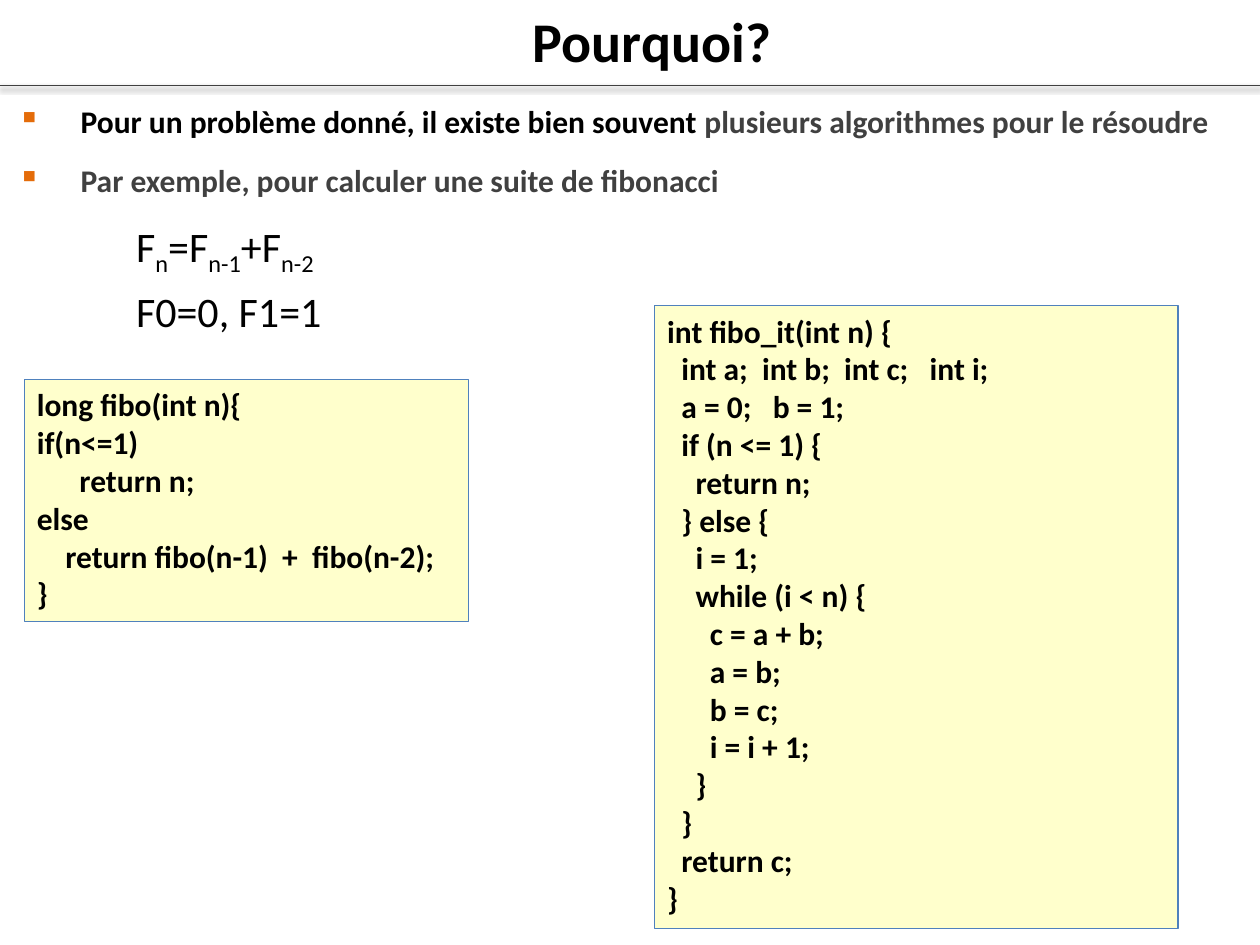
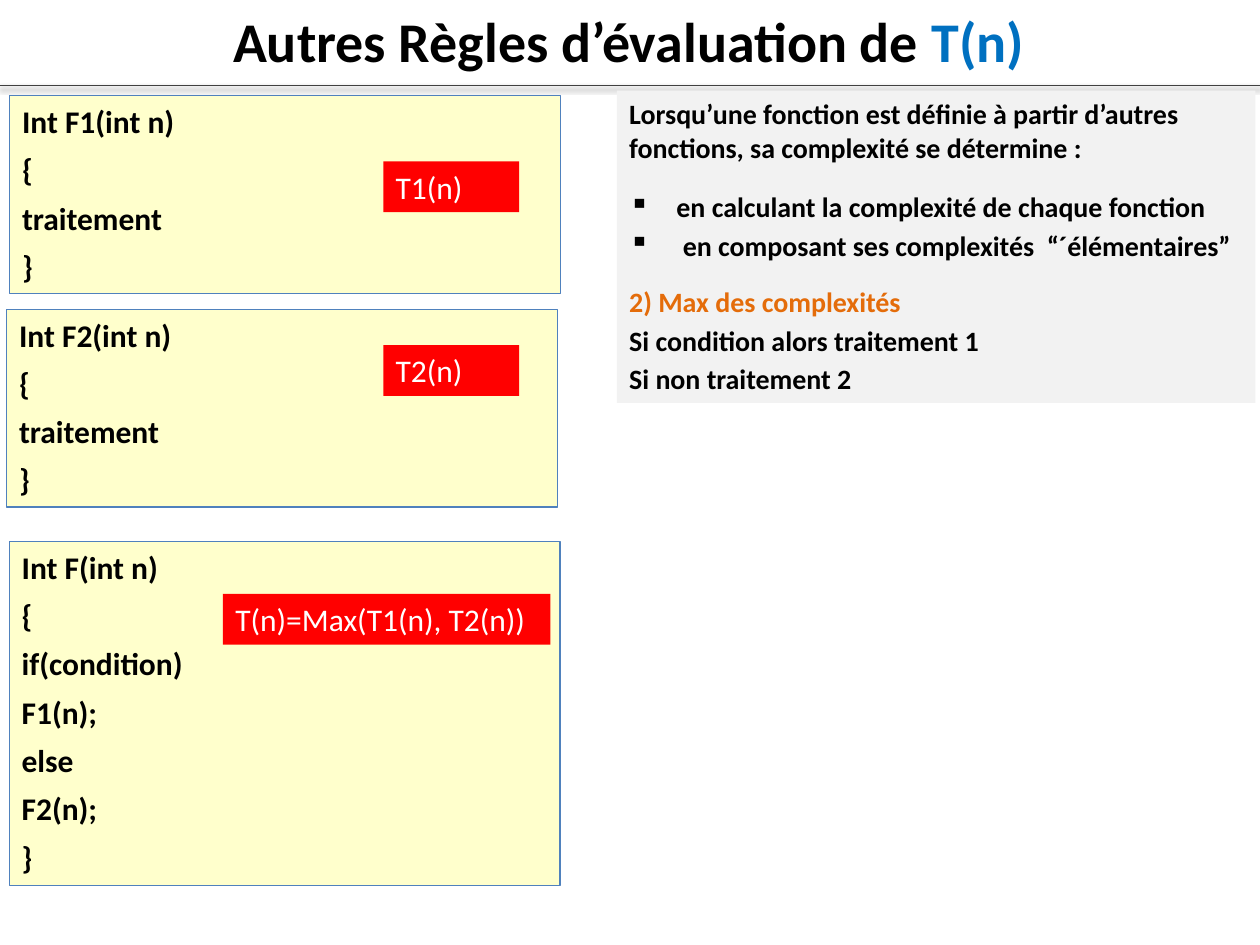
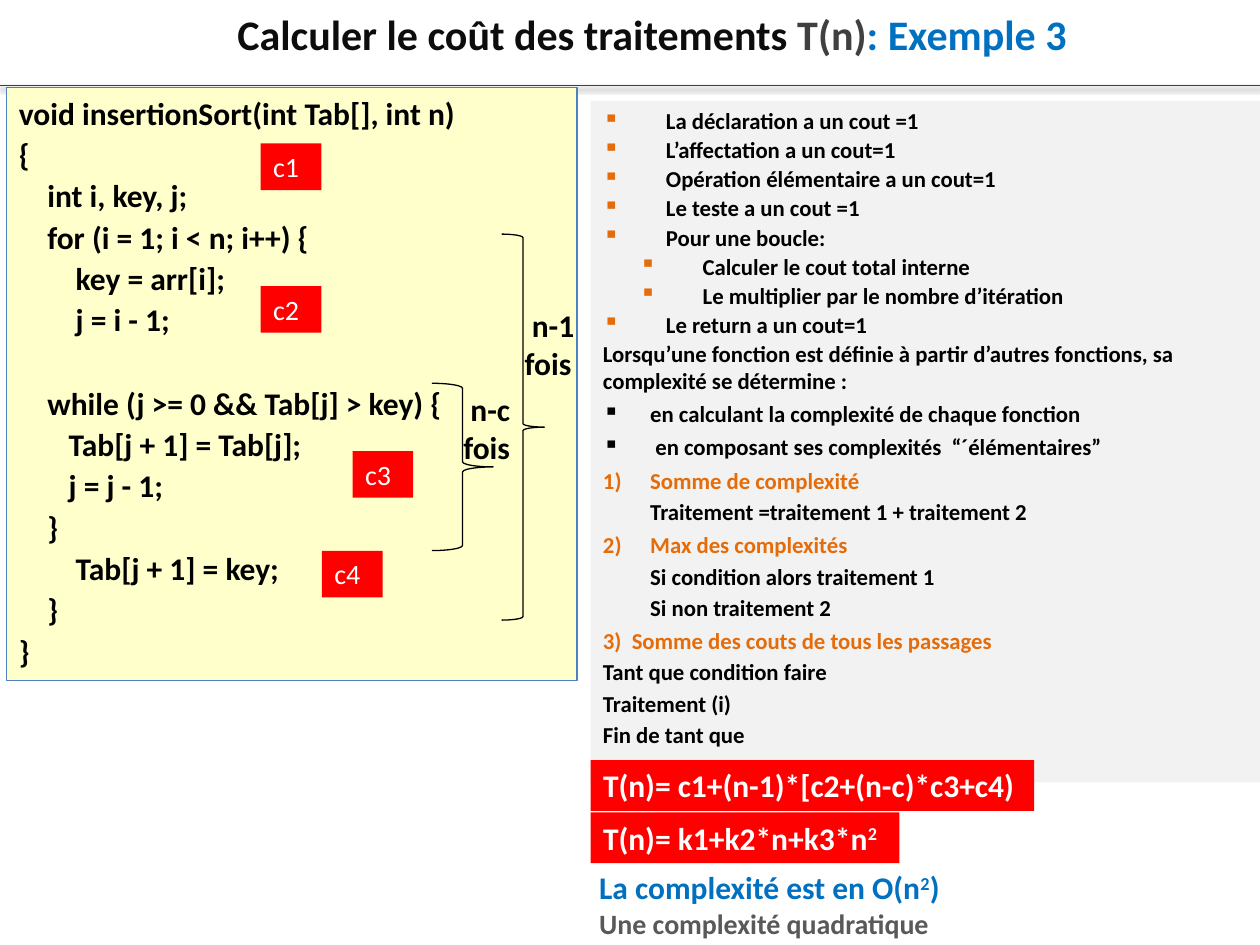
from lxml import etree
from pptx import Presentation
from pptx.dml.color import RGBColor
from pptx.enum import shapes, text
from pptx.oxml import ns
from pptx.util import Pt

BLACK = RGBColor(0, 0, 0)
INK = RGBColor(0x0D, 0x0D, 0x0D)
DARK = RGBColor(0x40, 0x40, 0x40)
GREY = RGBColor(0x59, 0x59, 0x59)
PALE = RGBColor(0xF2, 0xF2, 0xF2)
WHITE = RGBColor(255, 255, 255)
BLUE = RGBColor(0, 0x70, 0xC0)
EDGE = RGBColor(0x4F, 0x81, 0xBD)
CREAM = RGBColor(0xFF, 0xFF, 0xCC)
RED = RGBColor(255, 0, 0)
RUST = RGBColor(0xE4, 0x6C, 0x0A)

FONT = "Calibri"
WIDE, HIGH = 720, 540
RULE = 49

KINDS = {
    "code": dict(fill=CREAM, edge=EDGE, color=BLACK, bold=True),
    "panel": dict(fill=PALE, edge=None, color=BLACK, bold=True),
    "tag": dict(fill=RED, edge=None, color=WHITE, bold=False),
    "total": dict(fill=RED, edge=None, color=WHITE, bold=True),
    "note": dict(fill=None, edge=None, color=BLACK, bold=True),
    "plain": dict(fill=None, edge=None, color=BLACK, bold=False),
}

SUB = dict(base=-25000)
SUP = dict(base=30000)
MID = dict(align=text.PP_ALIGN.CENTER)
LEAD = dict(indent=(36, -36), after=12, mark="▪", tint=RUST)
COST = dict(LEAD, after=1)
DEEP = dict(COST, indent=(57, -36), level=1)
ITEM = dict(indent=(27, -27), space=1.15, mark="▪")
STEP = dict(ITEM, after=1)
LOOSE = dict(space=1.15)

WHOLE = "Lorsqu’une fonction est définie à partir d’autres fonctions, sa complexité se détermine :"
EACH = "en calculant la complexité de chaque fonction"
JOIN = " en composant ses complexités  “´élémentaires”"
CASES = "Si condition alors traitement 1\nSi non traitement 2"


def lines(code, **style):
    return [([row], style) for row in code.split("\n")]


def stub(name):
    return lines(f"Int {name}(int n)\n{{\ntraitement\n}}", after=6)


RECUR = """long fibo(int n){
if(n<=1)
      return n;
else
    return fibo(n-1)  +  fibo(n-2);
}"""

ITER = """int fibo_it(int n) {
  int a;  int b;  int c;   int i;
  a = 0;   b = 1;
  if (n <= 1) {
    return n;
  } else {
    i = 1;
    while (i < n) {
      c = a + b;
      a = b;
      b = c;
      i = i + 1;
    }
  }
  return c;
}"""

BRANCH = """Int F(int n)
{
if(condition)
F1(n);
else
F2(n);
}"""

SORT_TOP = """void insertionSort(int Tab[], int n)
{
    int i, key, j;
    for (i = 1; i < n; i++) {
        key = arr[i];
        j = i - 1;"""
SORT_LOOP = "    while (j >= 0 && Tab[j] > key) {"
SORT_END = """       Tab[j + 1] = Tab[j];
       j = j - 1;
    }
        Tab[j + 1] = key;
    }
}"""

COSTS = [
    (["La déclaration a un cout =1"], COST),
    (["L’affectation a un cout=1"], COST),
    (["Opération élémentaire a un cout=1"], COST),
    (["Le teste a un cout =1"], COST),
    (["Pour une boucle:"], COST),
    (["Calculer le cout total interne"], DEEP),
    (["Le multiplier par le nombre d’itération"], DEEP),
    (["Le return a un cout=1"], COST),
    ([WHOLE], dict(after=1)),
    ([EACH], STEP),
    ([JOIN], STEP),
    ([("Somme de complexité\n", dict(color=RUST)),
      "Traitement =traitement 1 + traitement 2"], dict(STEP, mark=1, tint=RUST)),
    ([("Max des complexités\n", dict(color=RUST)), CASES],
     dict(STEP, mark=2, tint=RUST)),
    ([("3)  Somme des couts de tous les passages\n", dict(color=RUST)),
      "Tant que condition faire\nTraitement (i)\nFin de tant que"],
     dict(LOOSE, after=1)),
]

TAGS = [("c1", 149, 82), ("c2", 149, 163.5), ("c3", 201.5, 257.75), ("c4", 184, 314.75)]

SLIDES = [
    dict(
        title=((25.2, 0, 694.8, 46), 32, ["Pourquoi?"]),
        boxes=[
            ("note", (3, 54.7, 712, 63.4), 18, [
                (["Pour un problème donné, il existe bien souvent ",
                  ("plusieurs algorithmes pour le résoudre", dict(color=DARK))], LEAD),
                ([("Par exemple, pour calculer une suite de fibonacci",
                   dict(color=DARK))], LEAD)]),
            ("code", (14, 216.7, 253.7, 138.3), 18, lines(RECUR)),
            ("code", (374.2, 174.5, 299, 356), 18, lines(ITER)),
            ("plain", (70.7, 117.4, 175.7, 72), 24, [
                (["F", ("n", SUB), "=F", ("n-1", SUB), "+F", ("n-2", SUB)], LOOSE),
                (["F0=0, F1=1"], LOOSE)]),
        ],
    ),
    dict(
        title=((-0.7, 0, 720, 46), 32,
               ["Autres Règles d’évaluation de ", ("T(n)", dict(color=BLUE))]),
        boxes=[
            ("panel", (352.5, 51.8, 365, 178.5), 16, [
                ([WHOLE], dict(after=12)),
                ([EACH], ITEM),
                ([JOIN], dict(ITEM, after=10)),
                ([("2) Max des complexités\n", dict(color=RUST)), CASES], LOOSE)]),
            ("code", (5.5, 54.7, 314.8, 113), 18, stub("F1")),
            ("code", (3.8, 176.8, 314.8, 113), 18, stub("F2")),
            ("code", (5.3, 309.5, 314.8, 196.5), 18, lines(BRANCH, after=6)),
            ("tag", (219, 92.2, 77.7, 29), 18, lines("T1(n)")),
            ("tag", (219, 197.2, 77.7, 29), 18, lines("T2(n)")),
            ("tag", (127.4, 339.4, 187.2, 29), 18, lines("T(n)=Max(T1(n), T2(n))")),
        ],
    ),
    dict(
        title=((25.2, 1.5, 694.8, 36), 24, [
            ("Calculer le coût des traitements ", dict(color=INK)),
            ("T(n)", dict(color=DARK)), (": Exemple 3", dict(color=BLUE))]),
        boxes=[
            ("panel", (337.5, 57.6, 382.5, 389.5), 13, COSTS),
            ("code", (3.7, 50.1, 326, 339), 18,
             lines(SORT_TOP, after=2)
             + lines(SORT_LOOP, before=24, after=2)
             + lines(SORT_END, after=2)),
            *[("tag", (x, y, 34.6, 26.65), 16, lines(name)) for name, x, y in TAGS],
            ("note", (292.8, 171.4, 50.4, 51), 18, lines(" n-1\nfois")),
            ("note", (257.7, 219.2, 50.4, 51), 18, lines(" n-c\nfois")),
            ("total", (337.5, 434.4, 253.5, 29), 18,
             lines("T(n)= c1+(n-1)*[c2+(n-c)*c3+c4)")),
            ("total", (337.5, 464.2, 176.4, 29), 18,
             [(["T(n)= k1+k2*n+k3*n", ("2", SUP)], {})]),
            ("note", (335.3, 492.6, 334.8, 48), 18, [
                ([("La complexité est en O(n", dict(color=BLUE)),
                  ("2", dict(SUP, color=BLUE)), (")", dict(color=BLUE))], {}),
                ([("Une complexité quadratique", dict(color=GREY, size=16))], {})]),
        ],
        braces=[(286.6, 133.8, 24.5, 220.6), (246.8, 219, 35, 95.6)],
    ),
]


def add(node, tag, **attrs):
    return etree.SubElement(node, ns.qn(tag), attrs)


def bullet(para, indent, mark, tint):
    prop = para._p.get_or_add_pPr()
    prop.set("marL", str(Pt(indent[0])))
    prop.set("indent", str(Pt(indent[1])))
    if tint:
        add(add(prop, "a:buClr"), "a:srgbClr", val=str(tint))
    if isinstance(mark, int):
        add(prop, "a:buAutoNum", type="arabicParenR", startAt=str(mark))
    else:
        add(prop, "a:buChar", char=mark)


def write(para, item, size, color, bold):
    words, look = (item, {}) if isinstance(item, str) else item
    for num, part in enumerate(words.split("\n")):
        if num:
            para.add_line_break()
        if not part:
            continue
        run = para.add_run()
        run.text = part
        font = run.font
        font.name, font.bold = FONT, bold
        font.size = Pt(look.get("size", size))
        font.color.rgb = look.get("color", color)
        if "base" in look:
            font._element.set("baseline", str(look["base"]))


def box(slide, kind, rect, size, paras):
    style = KINDS[kind]
    place = [Pt(v) for v in rect]
    if style["fill"] is None:
        shape = slide.shapes.add_textbox(*place)
    else:
        shape = slide.shapes.add_shape(shapes.MSO_SHAPE.RECTANGLE, *place)
        shape.shadow.inherit = False
        shape.fill.solid()
        shape.fill.fore_color.rgb = style["fill"]
        if style["edge"] is None:
            shape.line.fill.background()
        else:
            shape.line.color.rgb = style["edge"]
            shape.line.width = Pt(0.75)
    frame = shape.text_frame
    frame.word_wrap = True
    frame.vertical_anchor = text.MSO_ANCHOR.TOP
    for num, (runs, form) in enumerate(paras):
        para = frame.add_paragraph() if num else frame.paragraphs[0]
        para.alignment = form.get("align", text.PP_ALIGN.LEFT)
        para.level = form.get("level", 0)
        if "mark" in form:
            bullet(para, form["indent"], form["mark"], form.get("tint"))
        para.line_spacing = form.get("space", 1.0)
        para.space_before = Pt(form.get("before", 0))
        para.space_after = Pt(form.get("after", 0))
        for item in runs:
            write(para, item, size, style["color"], style["bold"])


def rule(slide):
    line = slide.shapes.add_connector(
        shapes.MSO_CONNECTOR.STRAIGHT, 0, Pt(RULE), Pt(WIDE), Pt(RULE))
    line.line.color.rgb = DARK
    line.line.width = Pt(0.5)
    glow = add(add(line._element.spPr, "a:effectLst"), "a:outerShdw",
               blurRad=str(Pt(3.1)), dist=str(Pt(1.6)), dir="5400000", rotWithShape="0")
    add(add(glow, "a:srgbClr", val=str(BLACK)), "a:alpha", val="38000")


def brace(slide, rect):
    shape = slide.shapes.add_shape(
        shapes.MSO_SHAPE.RIGHT_BRACE, *[Pt(v) for v in rect])
    shape.shadow.inherit = False
    shape.fill.background()
    shape.line.color.rgb = BLACK
    shape.line.width = Pt(0.75)


def main():
    deck = Presentation()
    deck.slide_width, deck.slide_height = Pt(WIDE), Pt(HIGH)
    for page in SLIDES:
        slide = deck.slides.add_slide(deck.slide_layouts[6])
        rule(slide)
        rect, size, runs = page["title"]
        box(slide, "note", rect, size, [(runs, MID)])
        for part in page["boxes"]:
            box(slide, *part)
        for rect in page.get("braces", []):
            brace(slide, rect)
    deck.save("out.pptx")


if __name__ == "__main__":
    main()
